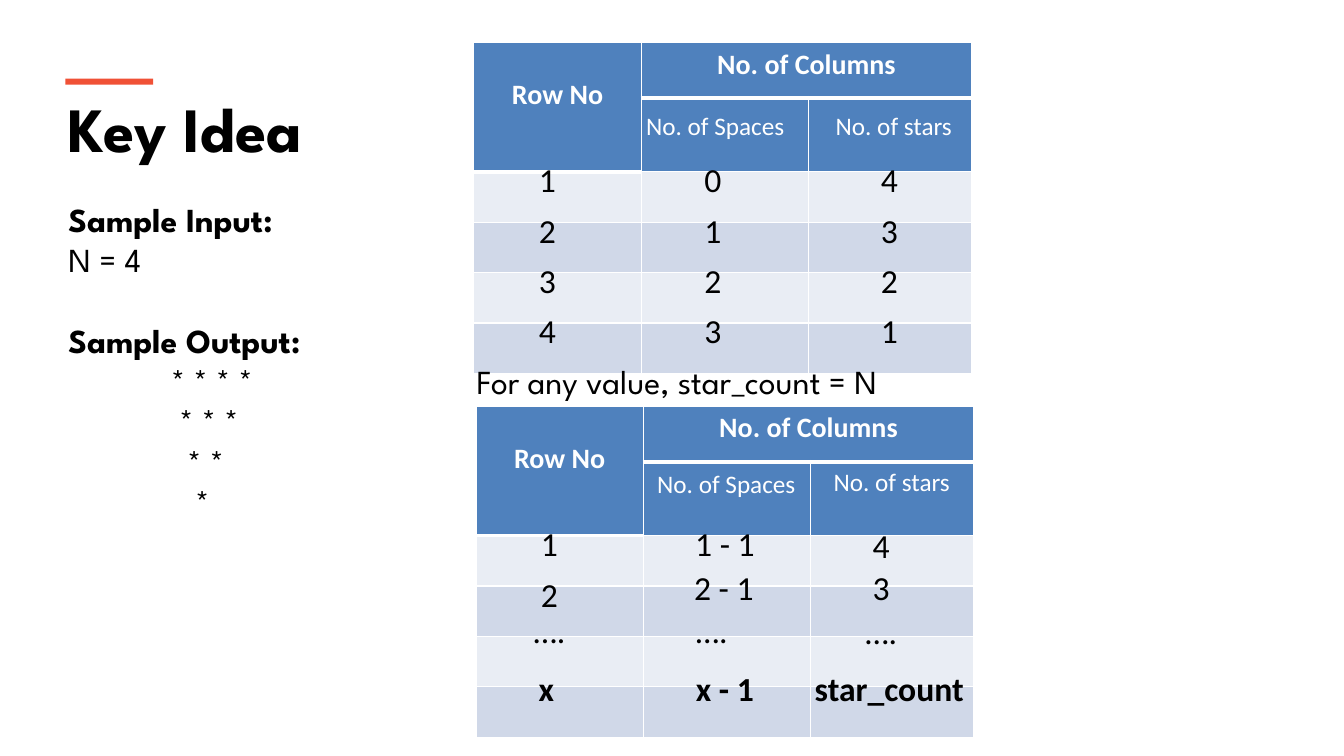
from lxml import etree
from pptx import Presentation
from pptx.dml.color import RGBColor
from pptx.enum.shapes import MSO_SHAPE
from pptx.enum.text import MSO_ANCHOR, MSO_AUTO_SIZE, PP_ALIGN
from pptx.oxml.ns import qn
from pptx.util import Inches, Pt

LEFT, CENTER = PP_ALIGN.LEFT, PP_ALIGN.CENTER
TOP = MSO_ANCHOR.TOP
GROW = MSO_AUTO_SIZE.SHAPE_TO_FIT_TEXT
RECTANGLE = MSO_SHAPE.RECTANGLE

WHITE, BLACK, ACCENT = "FFFFFF", "000000", "F05136"
HEADER, BANDS = "4F81BD", ("E9EDF4", "D0D8E8")
HEADING_FONT, TABLE_FONT = "League Spartan", "Calibri"
COLUMNS = (1.66, 1.66, 1.62)
ROWS = (0.55, 0.73) + (0.5,) * 4
ENTRY_WIDTHS = {1: 0.37, 2: 0.8, 5: 0.8, 10: 1.7}


def color(value):
    return RGBColor.from_string(value)


def box(left, top, width, height):
    return [Inches(length) for length in (left, top, width, height)]


def style(paragraph, size, font, fill=BLACK, bold=False, align=LEFT):
    paragraph.alignment = align
    paragraph.font.size = Pt(size)
    paragraph.font.name = font
    paragraph.font.bold = bold
    paragraph.font.color.rgb = color(fill)


def add_label(slide, text, area, size, font, wrap=False, **look):
    frame = slide.shapes.add_textbox(*box(*area)).text_frame
    frame.word_wrap = wrap
    frame.auto_size = GROW
    frame.text = text
    style(frame.paragraphs[0], size, font, **look)


def add_heading(slide, left, top, width, height):
    title = slide.shapes.title
    title.left, title.top, title.width, title.height = box(left, top, width, height)
    frame = title.text_frame
    frame.text = "Key Idea"
    frame.vertical_anchor = TOP
    frame.auto_size = GROW
    style(frame.paragraphs[0], 45, HEADING_FONT, bold=True)

    accent = slide.shapes.add_shape(RECTANGLE, *box(left + 0.07, top - 0.06, 0.87, 0.06))
    accent.shadow.inherit = False
    accent.fill.solid()
    accent.fill.fore_color.rgb = color(ACCENT)
    accent.line.fill.background()


def add_sample(slide, area):
    frame = slide.shapes.add_textbox(*box(*area)).text_frame
    frame.word_wrap = True
    frame.auto_size = GROW
    stars = [" ".join("*" * count) for count in range(4, 0, -1)]
    lines = ["Sample Input:", "N = 4", "Sample Output:"] + stars
    frame.text = "\n".join(lines)
    for index, paragraph in enumerate(frame.paragraphs):
        style(paragraph, 24, HEADING_FONT, bold=lines[index].endswith(":"))
        if index >= 3:
            indent = Inches(1.02 + 0.08 * (index - 3))
            paragraph._p.get_or_add_pPr().set("marL", str(indent))
    frame.paragraphs[2].space_before = Pt(29)


def set_borders(cell, top, bottom):
    properties = cell._tc.get_or_add_tcPr()
    edges = (("lnL", 1), ("lnR", 1), ("lnT", top), ("lnB", bottom))
    for index, (edge, width) in enumerate(edges):
        line = etree.Element(qn("a:" + edge), w=str(Pt(width)))
        fill = etree.SubElement(line, qn("a:solidFill"))
        etree.SubElement(fill, qn("a:srgbClr"), val=WHITE)
        properties.insert(index, line)


def add_count_table(slide, left, top, subheads, entries):
    area = box(left, top, sum(COLUMNS), sum(ROWS))
    table = slide.shapes.add_table(len(ROWS), len(COLUMNS), *area).table
    table.first_row = table.horz_banding = False
    for column, width in zip(table.columns, COLUMNS):
        column.width = Inches(width)
    for row, height in zip(table.rows, ROWS):
        row.height = Inches(height)

    for row in range(len(ROWS)):
        for column in range(len(COLUMNS)):
            cell = table.cell(row, column)
            cell.fill.solid()
            cell.fill.fore_color.rgb = color(HEADER if row < 2 else BANDS[row % 2])
            head_end = 1 if column == 0 else 0
            set_borders(cell, 3 if row == head_end + 1 else 1,
                        3 if row <= head_end else 1)

    row_head, column_head = table.cell(0, 0), table.cell(0, 1)
    row_head.merge(table.cell(1, 0))
    column_head.merge(table.cell(0, 2))
    row_head.margin_top = Inches(0.35)
    for cell, text in ((row_head, "Row No"), (column_head, "No. of Columns")):
        cell.text = text
        style(cell.text_frame.paragraphs[0], 20, TABLE_FONT, WHITE, True, CENTER)

    for text, x, y, width, wrap in subheads:
        add_label(slide, text, (left + x, top + y, width, 0.4), 18, TABLE_FONT,
                  wrap, fill=WHITE)
    for text, center, y, bold in entries:
        width = ENTRY_WIDTHS[len(text)]
        add_label(slide, text, (left + center - width / 2, top + y, width, 0.5), 24,
                  TABLE_FONT, bold=bold, align=CENTER)


def add_example_counts(slide, left, top):
    subheads = (("No. of Spaces", 1.61, 0.63, 1.65, True),
                ("No. of stars", 3.49, 0.63, 1.37, False))
    centers = (0.73, 2.37, 4.12)
    entries = [(str(value), center, 1.11 + 0.5 * row, False)
               for row in range(4)
               for value, center in zip((row + 1, row, 4 - row), centers)]
    add_count_table(slide, left, top, subheads, entries)


def add_general_counts(slide, left, top):
    subheads = (("No. of Spaces", 1.7, 0.57, 1.65, True),
                ("No. of stars", 3.45, 0.55, 1.37, False))
    entries = (
        ("1", 0.73, 1.11, False), ("1 - 1", 2.47, 1.11, False), ("4", 4.02, 1.13, False),
        ("2", 0.73, 1.61, False), ("2 - 1", 2.46, 1.55, False), ("3", 4.02, 1.55, False),
        ("….", 0.73, 1.97, False), ("….", 2.34, 1.97, False), ("….", 4.02, 1.98, False),
        ("x", 0.7, 2.55, True), ("x - 1", 2.47, 2.55, True),
        ("star_count", 4.1, 2.55, True),
    )
    add_count_table(slide, left, top, subheads, entries)


def main():
    deck = Presentation()
    deck.slide_width, deck.slide_height = Inches(13.33), Inches(7.5)
    slide = deck.slides.add_slide(deck.slide_layouts[5])
    slide.background.fill.solid()
    slide.background.fill.fore_color.rgb = color(WHITE)
    add_heading(slide, 0.58, 0.84, 12.18, 0.86)
    add_sample(slide, (0.58, 1.92, 3.42, 3.8))
    add_example_counts(slide, 4.7, 0.42)
    add_label(slide, "For any value, star_count = N", (4.63, 3.53, 4.59, 0.5), 24,
              HEADING_FONT)
    add_general_counts(slide, 4.72, 4.03)
    deck.save("out.pptx")


if __name__ == "__main__":
    main()
